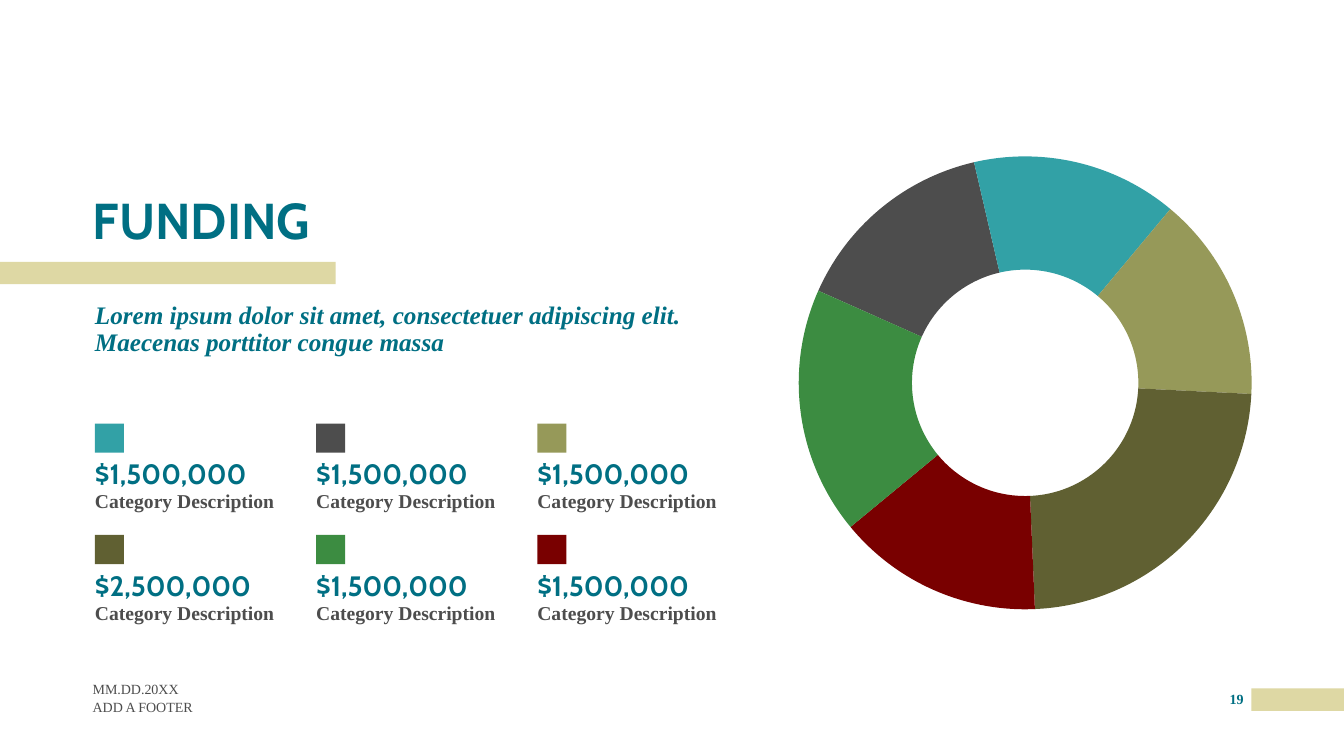
"""Build the funding slide: title, six budget categories and a doughnut chart."""
import pptx
import pptx.chart.data
import pptx.dml.color
import pptx.enum.chart
import pptx.enum.shapes
import pptx.enum.text
import pptx.oxml
import pptx.oxml.ns
import pptx.util

Pt = pptx.util.Pt
ALIGN = pptx.enum.text.PP_ALIGN
ANCHOR = pptx.enum.text.MSO_ANCHOR
HEADING_FONT = "Cabin"
BODY_FONT = "Times New Roman"
COLORS = {
    "heading": "006F83", "sand": "DED8A4", "gray": "4D4D4D", "teal": "32A1A6",
    "khaki": "969959", "olive": "606032", "red": "790000", "green": "3C8C41",
}


def add_bar(left, top, width, height, color):
    shape = slide.shapes.add_shape(
        pptx.enum.shapes.MSO_SHAPE.RECTANGLE, Pt(left), Pt(top), Pt(width), Pt(height))
    shape.shadow.inherit = False
    shape.fill.solid()
    shape.fill.fore_color.rgb = pptx.dml.color.RGBColor.from_string(COLORS[color])
    shape.line.fill.background()


def add_text(text, left, top, width, height, size, color, font=BODY_FONT, bold=True,
             italic=False, anchor=ANCHOR.TOP, align=ALIGN.LEFT, spacing=0.9):
    frame = slide.shapes.add_textbox(Pt(left), Pt(top), Pt(width), Pt(height)).text_frame
    frame.margin_left = frame.margin_right = frame.margin_top = frame.margin_bottom = 0
    frame.word_wrap = True
    frame.vertical_anchor = anchor
    paragraph = frame.paragraphs[0]
    paragraph.text = text
    paragraph.alignment = align
    paragraph.line_spacing = spacing
    paragraph.font.name = font
    paragraph.font.size = Pt(size)
    paragraph.font.bold = bold
    paragraph.font.italic = italic
    paragraph.font.color.rgb = pptx.dml.color.RGBColor.from_string(COLORS[color])


presentation = pptx.Presentation()
presentation.slide_width = Pt(960)
presentation.slide_height = Pt(540)
slide = presentation.slides.add_slide(presentation.slide_layouts[6])

add_bar(893.8, 491.8, 66.2, 16, "sand")
add_bar(0, 187, 239.8, 16, "sand")
add_text("FUNDING", 66.2, 118.8, 481.7, 59.8, 36, "heading", HEADING_FONT, anchor=ANCHOR.BOTTOM)
add_text("Lorem ipsum dolor sit amet, consectetuer adipiscing elit. Maecenas porttitor congue massa",
         67.8, 216, 480, 59.8, 18, "heading", italic=True)

categories = [
    ("teal", "$1,500,000"), ("gray", "$1,500,000"), ("khaki", "$1,500,000"),
    ("olive", "$2,500,000"), ("green", "$1,500,000"), ("red", "$1,500,000"),
]
for index, (color, amount) in enumerate(categories):
    row, column = divmod(index, 3)
    left = 67.8 + 158 * column
    top = 302.6 + 79.5 * row
    add_bar(left, top, 20.8, 20.8, color)
    add_text(amount, left, top + 20.6, 147, 27.4, 20, "heading", HEADING_FONT, anchor=ANCHOR.BOTTOM)
    add_text("Category Description", left, top + 48.8, 147.6, 19.4, 14, "gray")

slices = [("gray", 15), ("teal", 15), ("khaki", 15), ("olive", 24), ("red", 15), ("green", 18)]
chart_data = pptx.chart.data.CategoryChartData()
chart_data.categories = [str(number) for number in range(1, len(slices) + 1)]
chart_data.add_series("Series 1", [value for color, value in slices])
chart = slide.shapes.add_chart(
    pptx.enum.chart.XL_CHART_TYPE.DOUGHNUT, Pt(560.2), Pt(70.6), Pt(344.2), Pt(401.8), chart_data).chart
chart.has_title = False
chart.has_legend = False
chart.font.name = BODY_FONT
chart.font.size = Pt(10)
chart.font.color.rgb = pptx.dml.color.RGBColor.from_string(COLORS["heading"])
plot = chart.plots[0]
plot.vary_by_categories = True
for index, (color, value) in enumerate(slices):
    point_format = plot.series[0].points[index].format
    point_format.fill.solid()
    point_format.fill.fore_color.rgb = pptx.dml.color.RGBColor.from_string(COLORS[color])
    point_format.line.fill.background()

chart_space = chart.element
chart_space.xpath(".//c:firstSliceAng")[0].set("val", "294")
chart_space.xpath(".//c:holeSize")[0].set("val", "55")
plot_area = chart_space.xpath(".//c:plotArea")[0]
for layout in plot_area.xpath("./c:layout"):
    plot_area.remove(layout)
plot_area.insert(0, pptx.oxml.parse_xml(
    f'<c:layout {pptx.oxml.ns.nsdecls("c")}><c:manualLayout><c:layoutTarget val="inner"/>'
    '<c:xMode val="edge"/><c:yMode val="edge"/><c:x val="0.03"/><c:y val="0.1"/>'
    '<c:w val="0.94"/><c:h val="0.81"/></c:manualLayout></c:layout>'))

add_text("MM.DD.20XX", 66.2, 480.2, 216, 18, 10, "gray", bold=False, anchor=ANCHOR.BOTTOM, spacing=1.0)
add_text("ADD A FOOTER", 66.2, 499, 216, 18, 10, "gray", bold=False, spacing=1.0)
add_text("19", 872.9, 493.2, 20.9, 18, 10, "heading", align=ALIGN.CENTER, spacing=1.0)

presentation.save("out.pptx")
